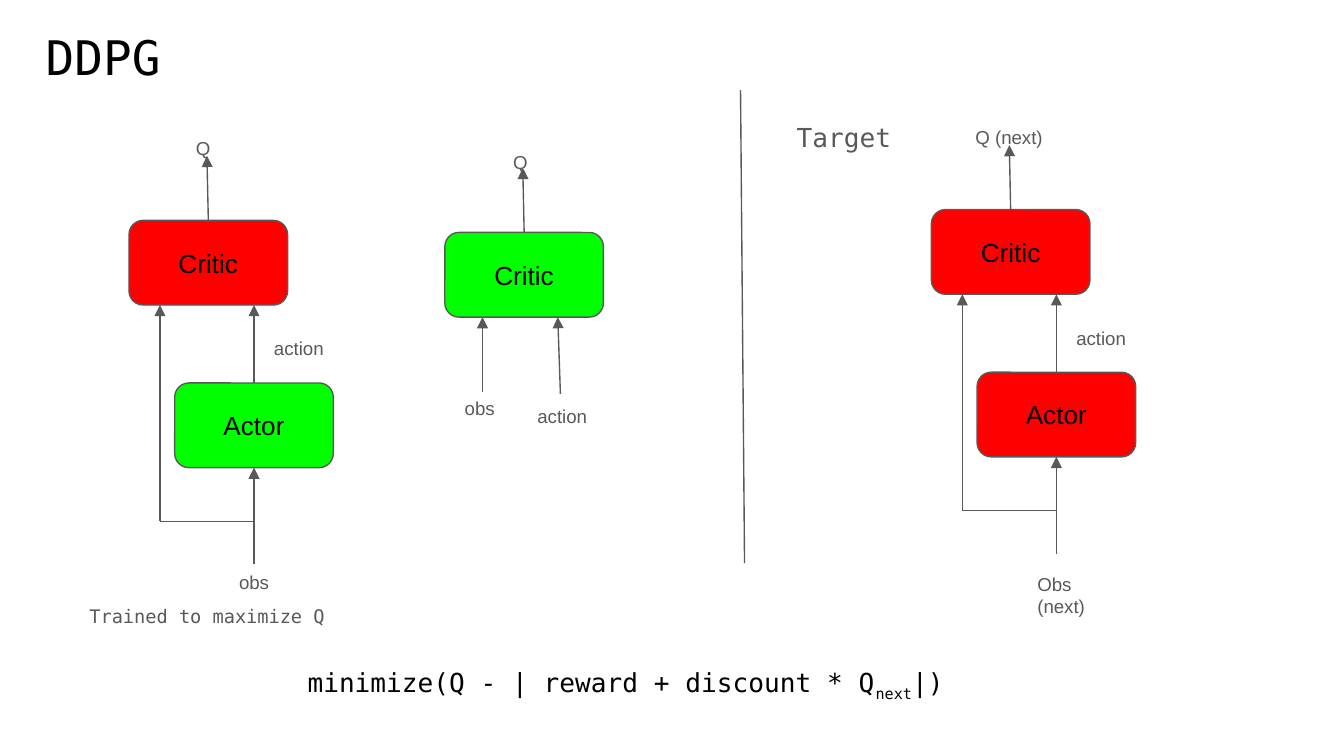
from lxml import etree
from pptx import Presentation
from pptx import util as u
from pptx.dml.color import RGBColor
from pptx.enum import shapes, text
from pptx.oxml.ns import qn

PX = u.Inches(1) // 100
COLOURS = {"red": "FF0000", "green": "00FF00", "grey": "595959", "black": "000000"}
SANS, MONO = "Arial", "DejaVu Sans Mono"
NODE_WIDTH, NODE_HEIGHT = 118, 63
TOP, BOTTOM = 0, 2


def px(*lengths):
    return [u.Emu(length * PX) for length in lengths]


def rgb(name):
    return RGBColor.from_string(COLOURS[name])


def write(frame, words, size=10, font=SANS, colour="grey", align=text.PP_ALIGN.LEFT,
          anchor=text.MSO_ANCHOR.TOP, insets=(10, 10, 10)):
    """Fill a text frame; words is a string or (string, baseline) spans, insets are side, top, bottom."""
    frame.word_wrap = True
    frame.vertical_anchor = anchor
    side, frame.margin_top, frame.margin_bottom = px(*insets)
    frame.margin_left = frame.margin_right = side
    para = frame.paragraphs[0]
    para.alignment = align
    for string, baseline in [(words, 0)] if isinstance(words, str) else words:
        span = para.add_run()
        span.text = string
        span.font.size, span.font.name = u.Pt(size), font
        span.font.color.rgb = rgb(colour)
        if baseline:
            span._r.get_or_add_rPr().set("baseline", str(baseline * 1000))


def label(page, box, words, **style):
    """Add a text box; unless told otherwise its text starts just below mid-height."""
    style.setdefault("insets", (10, box[3] // 2 + 1, 0))
    write(page.shapes.add_textbox(*px(*box)).text_frame, words, **style)


def line(page, start, end, arrow=True, source=None, target=None):
    """Draw a line; source and target are (shape, side) pairs to join it to."""
    link = page.shapes.add_connector(shapes.MSO_CONNECTOR.STRAIGHT, *px(*start, *end))
    if source:
        link.begin_connect(*source)
    if target:
        link.end_connect(*target)
    link.line.color.rgb = rgb("grey")
    link.line.width = u.Pt(0.75)
    if arrow:
        etree.SubElement(link.line._get_or_add_ln(), qn("a:tailEnd"), type="triangle")
    etree.SubElement(link._element.spPr, qn("a:effectLst"))


def node(page, left, top, name, colour):
    shape = page.shapes.add_shape(shapes.MSO_SHAPE.ROUNDED_RECTANGLE,
                                  *px(left, top, NODE_WIDTH, NODE_HEIGHT))
    shape.shadow.inherit = False
    shape.fill.solid()
    shape.fill.fore_color.rgb = rgb(colour)
    shape.line.color.rgb = rgb("grey")
    shape.line.width = u.Pt(0.75)
    write(shape.text_frame, name, size=14, colour="black",
          align=text.PP_ALIGN.CENTER, anchor=text.MSO_ANCHOR.MIDDLE)
    return shape


def critic(page, left, top, colour, output, output_box):
    """Critic node with its Q arrow; output_box is relative to the node."""
    shape = node(page, left, top, "Critic", colour)
    middle = left + NODE_WIDTH // 2
    line(page, (middle, top), (middle - 1, top - 48), source=(shape, TOP))
    x, y, width, height = output_box
    label(page, (left + x, top + y, width, height), output)


def actor_critic(page, left, top, actor_colour, output, output_box, observation, obs_offset):
    """Actor feeding a critic, with the observation bypassing the actor."""
    critic(page, left, top, "red", output, output_box)
    actor = node(page, left + 34, top + 121, "Actor", actor_colour)
    stem, bypass = left + 34 + NODE_WIDTH // 2, left + 23
    under_critic, branch = top + NODE_HEIGHT, top + 224
    line(page, (stem, top + 121), (stem, under_critic), source=(actor, TOP))
    line(page, (stem, top + 256), (stem, top + 184), target=(actor, BOTTOM))
    line(page, (stem, branch), (bypass, branch), arrow=False)
    line(page, (bypass, branch), (bypass, under_critic))
    label(page, (left + 98, top + 72, 65, 29), "action")
    label(page, (left + obs_offset[0], top + obs_offset[1], 65, 39), observation)


def lone_critic(page, left, top):
    critic(page, left, top, "green", "Q", (41, -76, 26, 29))
    line(page, (left + 28, top + 119), (left + 28, top + NODE_HEIGHT))
    line(page, (left + 86, top + 120), (left + 84, top + NODE_HEIGHT))
    label(page, (left + 5, top + 112, 46, 19), "obs")
    label(page, (left + 59, top + 111, 65, 33), "action")


def captions(page):
    label(page, (34, 12, 932, 63), "DDPG", size=25.5, font=MONO, colour="black",
          insets=(0, 9, 10))
    label(page, (583, 70, 110, 39), "Target", size=14, font=MONO)
    centred = dict(font=MONO, align=text.PP_ALIGN.CENTER)
    label(page, (39, 441, 230, 44), "Trained to maximize Q", insets=(10, 12, 10), **centred)
    formula = [("minimize(Q - | reward + discount * Q", 0), ("next", -25), ("|)", 0)]
    label(page, (145, 486, 641, 58), formula, size=14, colour="black",
          insets=(10, 10, 10), **centred)


def main():
    deck = Presentation()
    deck.slide_width = u.Inches(10)
    deck.slide_height = deck.slide_width * 9 // 16
    page = deck.slides.add_slide(deck.slide_layouts[6])
    actor_critic(page, 96, 164, "green", "Q", (40, -75, 36, 24), "obs", (72, 242))
    lone_critic(page, 331, 173)
    line(page, (551, 67), (554, 419), arrow=False)
    actor_critic(page, 693, 156, "red", "Q (next)", (23, -75, 83, 24),
                 "Obs (next)", (69, 250))
    captions(page)
    deck.save("out.pptx")


if __name__ == "__main__":
    main()
